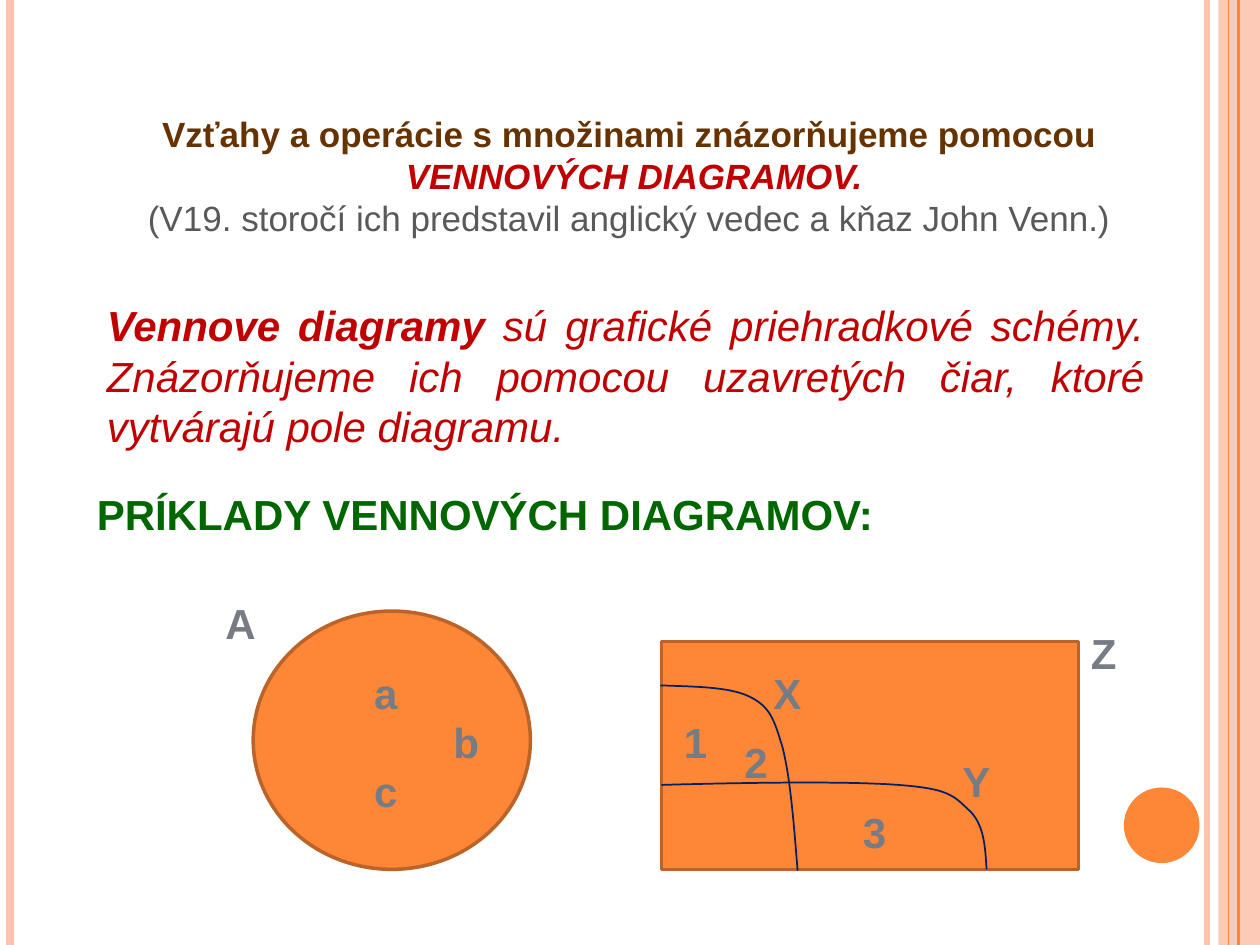
from lxml import etree
from pptx import Presentation
from pptx.dml.color import RGBColor
from pptx.enum.shapes import MSO_CONNECTOR as CONNECTOR, MSO_SHAPE as SHAPE
from pptx.enum.text import MSO_ANCHOR as ANCHOR, MSO_AUTO_SIZE as AUTO_SIZE, PP_ALIGN as ALIGN
from pptx.oxml.ns import qn
from pptx.util import Inches, Pt

COLORS = {
    "orange": "FE8637", "peach": "FEC3AE", "outline": "BC6329", "navy": "002060",
    "brown": "663300", "red": "C00000", "gray": "595959", "green": "006600", "label": "777C84",
}


def color(name):
    return RGBColor.from_string(COLORS[name])


def write_text(shape, paragraphs, size=24, align=ALIGN.LEFT, wrap=True):
    frame = shape.text_frame
    frame.word_wrap = wrap
    frame.auto_size = AUTO_SIZE.NONE
    frame.vertical_anchor = ANCHOR.TOP
    for index, runs in enumerate(paragraphs):
        paragraph = frame.add_paragraph() if index else frame.paragraphs[0]
        paragraph.alignment = align
        for text, color_name, bold, italic in runs:
            run = paragraph.add_run()
            run.text = text
            run.font.name = "Arial"
            run.font.size = Pt(size)
            run.font.bold = bold
            run.font.italic = italic
            run.font.color.rgb = color(color_name)


presentation = Presentation()
presentation.slide_width = Inches(10)
presentation.slide_height = Inches(7.5)
slide = presentation.slides.add_slide(presentation.slide_layouts[5])
shapes = slide.shapes

band = shapes.add_shape(SHAPE.RECTANGLE, Inches(9.67), 0, Inches(0.33), Inches(7.5))
dot = shapes.add_shape(SHAPE.OVAL, Inches(8.92), Inches(6.25), Inches(0.6), Inches(0.6))
for shape, fill in [(band, "peach"), (dot, "orange")]:
    shape.shadow.inherit = False
    shape.fill.solid()
    shape.fill.fore_color.rgb = color(fill)
    shape.line.fill.background()
band_color = band.fill._xPr.find(qn("a:solidFill"))[0]
etree.SubElement(band_color, qn("a:alpha")).set("val", "87000")

for x, width, line_color in [
    (9.58, 3, "peach"), (0.08, 4.5, "peach"), (9.83, 1.5, "orange"), (9.75, 0.75, "orange"),
]:
    stripe = shapes.add_connector(CONNECTOR.STRAIGHT, Inches(x), 0, Inches(x), Inches(7.5))
    stripe.line.width = Pt(width)
    stripe.line.color.rgb = color(line_color)
    etree.SubElement(stripe._element.spPr, qn("a:effectLst"))

title = shapes.title
title.left, title.top = Inches(0.98), Inches(0.84)
title.width, title.height = Inches(8.03), Inches(1.11)
write_text(title, [
    [("Vzťahy a operácie s množinami znázorňujeme pomocou", "brown", True, False)],
    [(" VENNOVÝCH DIAGRAMOV.", "red", True, True)],
    [("(V19.\u00a0storočí ich predstavil anglický vedec a kňaz John Venn.)", "gray", False, False)],
], size=20, align=ALIGN.CENTER)

definition = shapes.add_textbox(Inches(0.75), Inches(2.33), Inches(8.43), Inches(1.31))
write_text(definition, [[
    ("Vennove diagramy", "red", True, True),
    (" sú grafické priehradkové schémy. Znázorňujeme ich pomocou uzavretých čiar, "
     "ktoré vytvárajú pole diagramu.", "red", False, True),
]], align=ALIGN.JUSTIFY)

examples = shapes.add_textbox(Inches(0.67), Inches(3.83), Inches(6.43), Inches(0.5))
write_text(examples, [[("PRÍKLADY VENNOVÝCH DIAGRAMOV:", "green", True, False)]], wrap=False)

diagrams = [
    {
        "outline": (SHAPE.OVAL, 2.01, 4.85, 2.2, 2.05),
        "curves": [],
        "labels": [("a", 2.87, 5.25), ("b", 3.5, 5.64), ("c", 2.87, 6.03), ("A", 1.69, 4.69)],
    },
    {
        "outline": (SHAPE.RECTANGLE, 5.25, 5.09, 3.31, 1.81),
        "curves": [
            [(5.24, 5.44), (5.51, 5.45), (5.79, 5.45), (5.95, 5.53), (6.11, 5.61),
             (6.14, 5.7), (6.21, 5.93), (6.27, 6.16), (6.3, 6.53), (6.33, 6.91)],
            [(5.25, 6.23), (5.99, 6.21), (6.72, 6.2), (7.13, 6.23), (7.54, 6.26),
             (7.57, 6.32), (7.69, 6.43), (7.81, 6.54), (7.82, 6.72), (7.83, 6.9)],
        ],
        "labels": [("X", 6.04, 5.25), ("Y", 7.54, 5.95), ("1", 5.33, 5.64),
                   ("2", 5.81, 5.8), ("3", 6.75, 6.35), ("Z", 8.56, 4.93)],
    },
]
STEPS = 16
for diagram in diagrams:
    group = shapes.add_group_shape().shapes
    kind, *box = diagram["outline"]
    outline = group.add_shape(kind, *map(Inches, box))
    outline.shadow.inherit = False
    outline.fill.solid()
    outline.fill.fore_color.rgb = color("orange")
    outline.line.color.rgb = color("outline")
    outline.line.width = Pt(2)

    for controls in diagram["curves"]:
        points = []
        for start in range(0, len(controls) - 1, 3):
            segment = controls[start:start + 4]
            for step in range(1, STEPS + 1):
                t = step / STEPS
                weights = ((1 - t) ** 3, 3 * t * (1 - t) ** 2, 3 * t ** 2 * (1 - t), t ** 3)
                points.append(tuple(
                    Inches(sum(weight * point[axis] for weight, point in zip(weights, segment)))
                    for axis in (0, 1)
                ))
        builder = group.build_freeform(*map(Inches, controls[0]))
        builder.add_line_segments(points, close=False)
        curve = builder.convert_to_shape()
        curve.shadow.inherit = False
        curve.fill.background()
        curve.line.color.rgb = color("navy")
        curve.line.width = Pt(1)

    for text, left, top in diagram["labels"]:
        label = group.add_textbox(Inches(left), Inches(top), Inches(0.41), Inches(0.5))
        write_text(label, [[(text, "label", True, False)]], wrap=False)

presentation.save("out.pptx")
